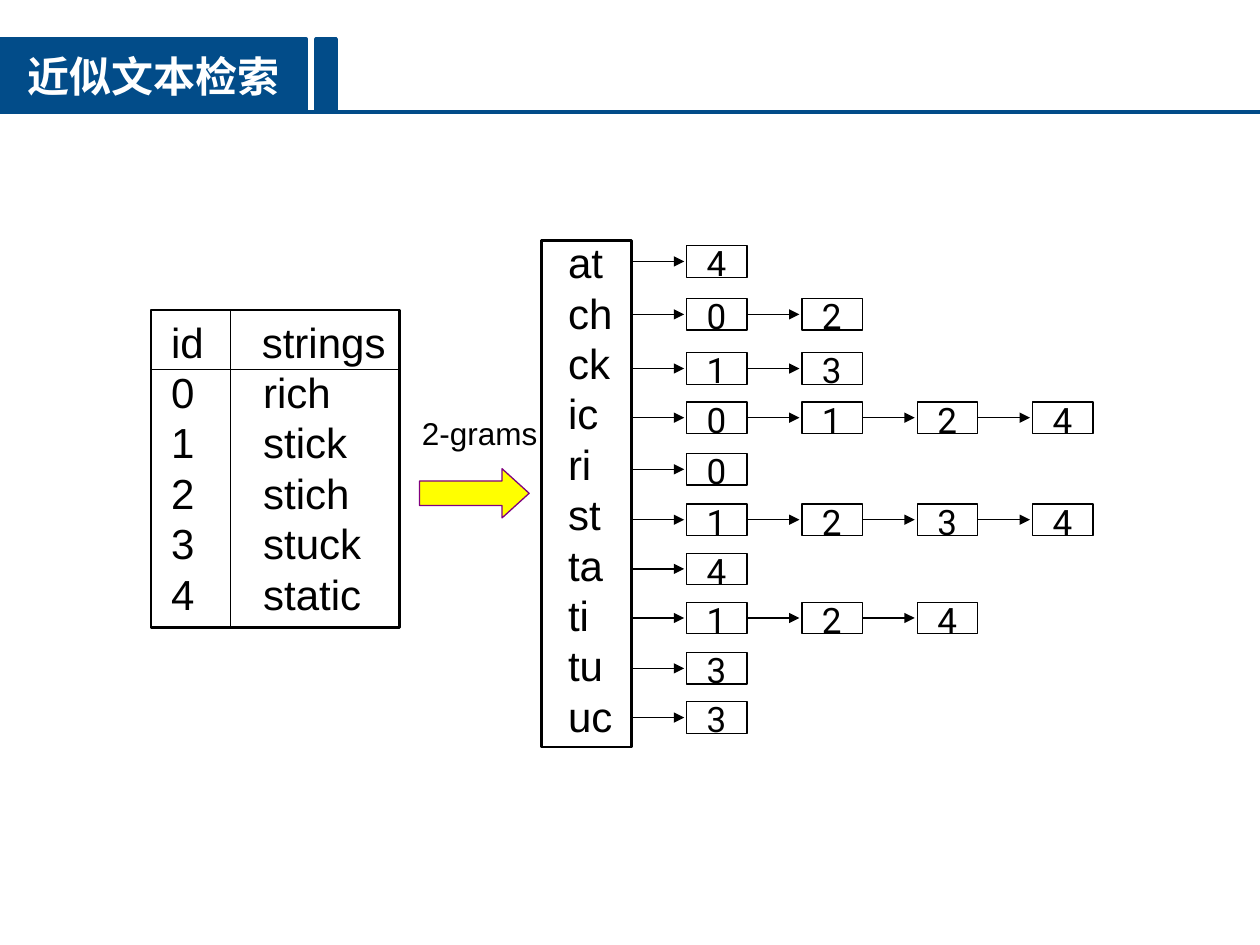
from dataclasses import dataclass

from lxml import etree
from pptx import Presentation
from pptx.dml.color import RGBColor
from pptx.enum.shapes import MSO_CONNECTOR, MSO_SHAPE
from pptx.enum.text import MSO_ANCHOR, MSO_AUTO_SIZE, PP_ALIGN
from pptx.oxml.ns import qn
from pptx.util import Inches, Pt

RECT, ARROW = MSO_SHAPE.RECTANGLE, MSO_SHAPE.RIGHT_ARROW
LINE = MSO_CONNECTOR.STRAIGHT
MID, MID_ROW = PP_ALIGN.CENTER, MSO_ANCHOR.MIDDLE
FIT, NO_FIT = MSO_AUTO_SIZE.SHAPE_TO_FIT_TEXT, MSO_AUTO_SIZE.NONE

WIDE, HIGH = 10, 7.5
BLUE, BLACK, WHITE = "024C89", "000000", "FFFFFF"
YELLOW, PURPLE = "FFFF00", "800080"
THIN, THICK, BAR = 0.75, 1.5, 2


@dataclass(frozen=True)
class Box:
    left: float
    top: float
    width: float
    height: float

    @property
    def right(self) -> float:
        return self.left + self.width

    @property
    def base(self) -> float:
        return self.top + self.height

    def place(self) -> tuple:
        return tuple(Inches(n) for n in (self.left, self.top, self.width, self.height))


@dataclass(frozen=True)
class Gram:
    name: str
    top: float
    ids: str


GRAMS = [
    Gram("at", 1.95, "4"),
    Gram("ch", 2.37, "02"),
    Gram("ck", 2.8, "13"),
    Gram("ic", 3.19, "0124"),
    Gram("ri", 3.6, "0"),
    Gram("st", 4, "1234"),
    Gram("ta", 4.39, "4"),
    Gram("ti", 4.78, "124"),
    Gram("tu", 5.18, "3"),
    Gram("uc", 5.57, "3"),
]
WORDS = ["rich", "stick", "stich", "stuck", "static"]

HEAD = Box(0, 0.31, 2.43, 0.58)
TABLE = Box(1.2, 2.46, 1.97, 2.52)
INDEX = Box(4.3, 1.91, 0.71, 4.02)
SPLIT_X, SPLIT_Y = 1.83, 2.93
CELL_X, CELL_STEP, CELL_W, CELL_H = 5.45, 0.915, 0.48, 0.25


def tint(code: str) -> RGBColor:
    return RGBColor.from_string(code)


def add_run(para, text: str, size: float, font: str, code: str, bold: bool = False) -> None:
    run = para.add_run()
    run.text = text
    run.font.size, run.font.name, run.font.bold = Pt(size), font, bold
    run.font.color.rgb = tint(code)


def add_text(slide, box: Box, lines: list[str], size: float = 24, font: str = "Arial"):
    frame = slide.shapes.add_textbox(*box.place()).text_frame
    frame.word_wrap, frame.auto_size = False, FIT
    for i, line in enumerate(lines):
        para = frame.add_paragraph() if i else frame.paragraphs[0]
        add_run(para, line, size, font, BLACK)
    return frame


def add_block(slide, kind, box: Box, line: str, width: float, fill: str = ""):
    block = slide.shapes.add_shape(kind, *box.place())
    block.shadow.inherit = False
    block.line.color.rgb, block.line.width = tint(line), Pt(width)
    if fill:
        block.fill.solid()
        block.fill.fore_color.rgb = tint(fill)
    else:
        block.fill.background()
    return block


def add_line(slide, start: tuple, end: tuple, code: str = BLACK,
             width: float = THIN, tip: bool = False) -> None:
    line = slide.shapes.add_connector(LINE, *(Inches(n) for n in start + end))
    line.line.color.rgb, line.line.width = tint(code), Pt(width)
    if tip:
        etree.SubElement(line.line._get_or_add_ln(), qn("a:tailEnd"), type="triangle")
    etree.SubElement(line._element.spPr, qn("a:effectLst"))


def add_head(slide) -> None:
    add_line(slide, (0, HEAD.base), (WIDE, HEAD.base), BLUE, BAR)
    title = slide.shapes.title
    title.left, title.top, title.width, title.height = HEAD.place()
    title.fill.solid()
    title.fill.fore_color.rgb = tint(BLUE)
    title.line.color.rgb, title.line.width = tint(BLUE), Pt(BAR)
    frame = title.text_frame
    frame.vertical_anchor, frame.auto_size = MID_ROW, NO_FIT
    para = frame.paragraphs[0]
    para.alignment = MID
    add_run(para, "近似文本检索", 24, "Arial", WHITE, True)
    add_block(slide, RECT, Box(2.51, HEAD.top, 0.16, HEAD.height), BLUE, BAR, BLUE)


def add_words(slide) -> None:
    frame = add_text(slide, Box(1.26, TABLE.top, 1.9, 0.5), ["id\tstrings"])
    props = frame.paragraphs[0]._p.get_or_add_pPr()
    tabs = etree.SubElement(props, qn("a:tabLst"))
    etree.SubElement(tabs, qn("a:tab"), pos=str(Inches(0.72)), algn="l")
    add_text(slide, Box(1.26, 2.86, 0.39, 2.1), [str(i) for i in range(len(WORDS))])
    add_text(slide, Box(1.99, 2.86, 0.98, 2.1), WORDS)
    add_block(slide, RECT, TABLE, BLACK, THICK)
    add_line(slide, (TABLE.left, SPLIT_Y), (TABLE.right, SPLIT_Y))
    add_line(slide, (SPLIT_X, TABLE.top), (SPLIT_X, TABLE.base))


def add_list(slide, gram: Gram) -> None:
    """Draw the chain of string ids that hold one gram."""
    mid = gram.top + CELL_H / 2
    for col, mark in enumerate(gram.ids):
        left = CELL_X + col * CELL_STEP
        add_text(slide, Box(left + 0.06, gram.top - 0.08, 0.35, 0.43), [mark], 20, "Roboto")
        add_block(slide, RECT, Box(left, gram.top, CELL_W, CELL_H), BLACK, THIN)
        add_line(slide, (left - CELL_STEP + CELL_W, mid), (left - 0.02, mid), tip=True)


def add_index(slide) -> None:
    add_text(slide, Box(3.25, 3.24, 1.12, 0.4), ["2-grams"], 18)
    add_text(slide, Box(4.41, 1.83, 0.55, 4.09), [gram.name for gram in GRAMS])
    add_block(slide, RECT, INDEX, BLACK, THICK)
    for gram in GRAMS:
        add_list(slide, gram)
    arrow = add_block(slide, ARROW, Box(3.33, 3.72, 0.87, 0.39), PURPLE, THIN, YELLOW)
    arrow.adjustments[1] = 0.55


def main() -> None:
    deck = Presentation()
    deck.slide_width, deck.slide_height = Inches(WIDE), Inches(HIGH)
    slide = deck.slides.add_slide(deck.slide_layouts[5])
    add_head(slide)
    add_words(slide)
    add_index(slide)
    deck.save("out.pptx")


if __name__ == "__main__":
    main()
